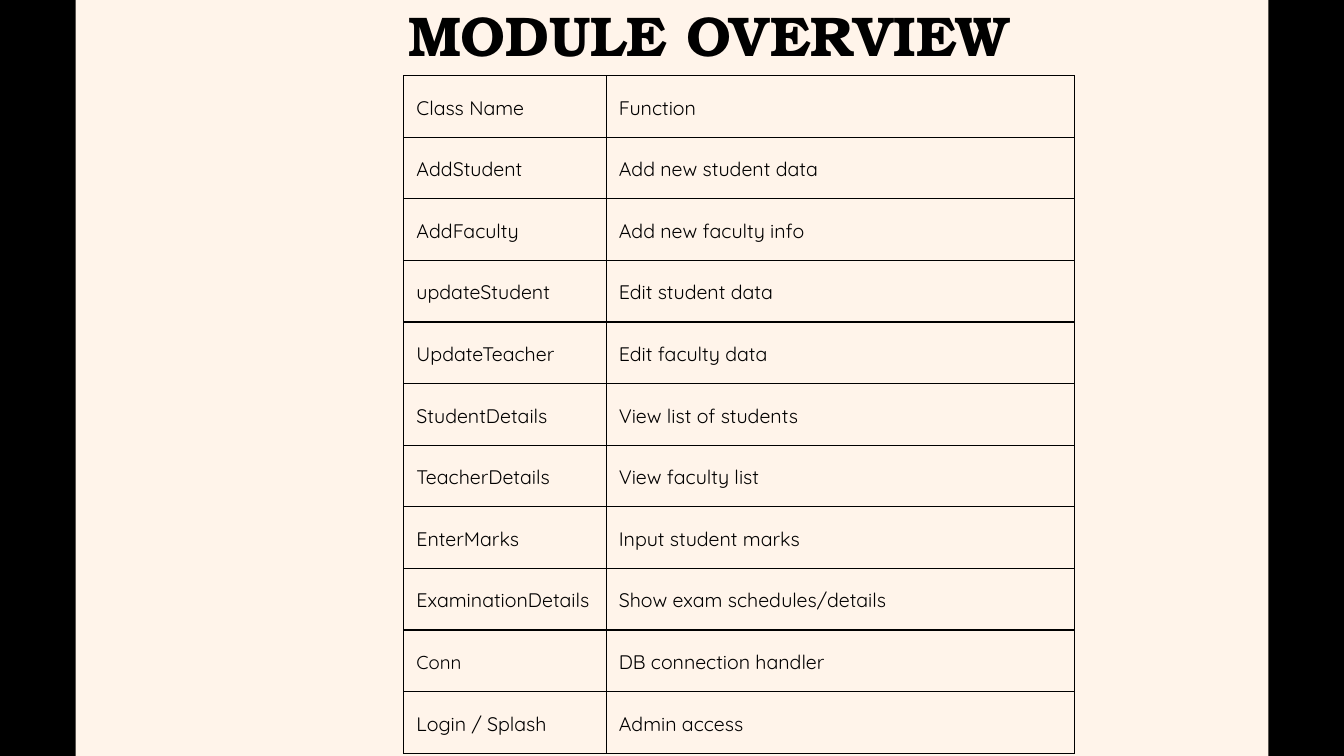
from lxml.etree import SubElement
from pptx import Presentation
from pptx.dml.color import RGBColor
from pptx.enum.shapes import MSO_SHAPE
from pptx.enum.text import MSO_ANCHOR, MSO_AUTO_SIZE, PP_ALIGN
from pptx.oxml.ns import qn
from pptx.util import Pt

PX = 9525  # EMU per px, 96 px to the inch
WIDTH, HEIGHT = 1920, 1080
BAR_W = 108
TABLE_X, TABLE_Y = 577, 108
COL_WIDTHS = (289, 669)
ROW_H = 88
INSET = 18

CREAM = RGBColor(0xFF, 0xF4, 0xEA)
BLACK = RGBColor(0, 0, 0)

TITLE = "MODULE OVERVIEW"
TITLE_FORMAT = {"name": "TeX Gyre Bonum", "size": Pt(60), "bold": True}
MODULES = [
    ("Class Name", "Function"),
    ("AddStudent", "Add new student data"),
    ("AddFaculty", "Add new faculty info"),
    ("updateStudent", "Edit student data"),
    ("UpdateTeacher", "Edit faculty data"),
    ("StudentDetails", "View list of students"),
    ("TeacherDetails", "View faculty list"),
    ("EnterMarks", "Input student marks"),
    ("ExaminationDetails", "Show exam schedules/details"),
    ("Conn", "DB connection handler"),
    ("Login / Splash", "Admin access"),
]
TEXT_SIZE = 21
SMALLER = {"Conn": 20}


def px(*values):
    return [v * PX for v in values]


def write(p, text, line_spacing, fmt):
    p.line_spacing = Pt(line_spacing)
    r = p.add_run()
    r.text = text
    for name, value in fmt.items():
        setattr(r.font, name, value)
    r.font.color.rgb = BLACK


def add_borders(cell):
    tcPr = cell._tc.get_or_add_tcPr()
    for side in ("lnL", "lnR", "lnT", "lnB"):
        ln = SubElement(tcPr, qn(f"a:{side}"), w=str(Pt(1.5)))
        fill = SubElement(ln, qn("a:solidFill"))
        SubElement(fill, qn("a:srgbClr"), val=str(BLACK))


def add_bar(slide, x):
    sp = slide.shapes.add_shape(MSO_SHAPE.RECTANGLE, *px(x, 0, BAR_W, HEIGHT))
    sp.shadow.inherit = False
    sp.fill.solid()
    sp.fill.fore_color.rgb = BLACK
    sp.line.fill.background()


def add_module_table(slide):
    frame = slide.shapes.add_table(
        len(MODULES), len(COL_WIDTHS),
        *px(TABLE_X, TABLE_Y, sum(COL_WIDTHS), ROW_H * len(MODULES)))
    table = frame.table
    table.first_row = table.horz_banding = False
    for column, width in zip(table.columns, COL_WIDTHS):
        column.width = width * PX
    for i, row in enumerate(MODULES):
        table.rows[i].height = ROW_H * PX
        for j, text in enumerate(row):
            cell = table.cell(i, j)
            for side in ("left", "right", "top", "bottom"):
                setattr(cell, f"margin_{side}", INSET * PX)
            cell.vertical_anchor = MSO_ANCHOR.MIDDLE
            add_borders(cell)
            cell.fill.background()
            size = SMALLER.get(text, TEXT_SIZE)
            write(cell.text_frame.paragraphs[0], text, size * 1.4,
                  {"name": "Quicksand", "size": Pt(size)})


def add_title(slide):
    tf = slide.shapes.add_textbox(*px(450, 16, 1125, 103)).text_frame
    tf.word_wrap = True
    tf.auto_size = MSO_AUTO_SIZE.SHAPE_TO_FIT_TEXT
    for side in ("left", "right", "top", "bottom"):
        setattr(tf, f"margin_{side}", 0)
    p = tf.paragraphs[0]
    p.alignment = PP_ALIGN.CENTER
    write(p, TITLE, 60, TITLE_FORMAT)


def main():
    prs = Presentation()
    prs.slide_width, prs.slide_height = px(WIDTH, HEIGHT)
    s = prs.slides.add_slide(prs.slide_layouts[6])
    s.background.fill.solid()
    s.background.fill.fore_color.rgb = CREAM
    for x in (0, WIDTH - BAR_W):
        add_bar(s, x)
    add_module_table(s)
    add_title(s)
    prs.save("out.pptx")


if __name__ == "__main__":
    main()
